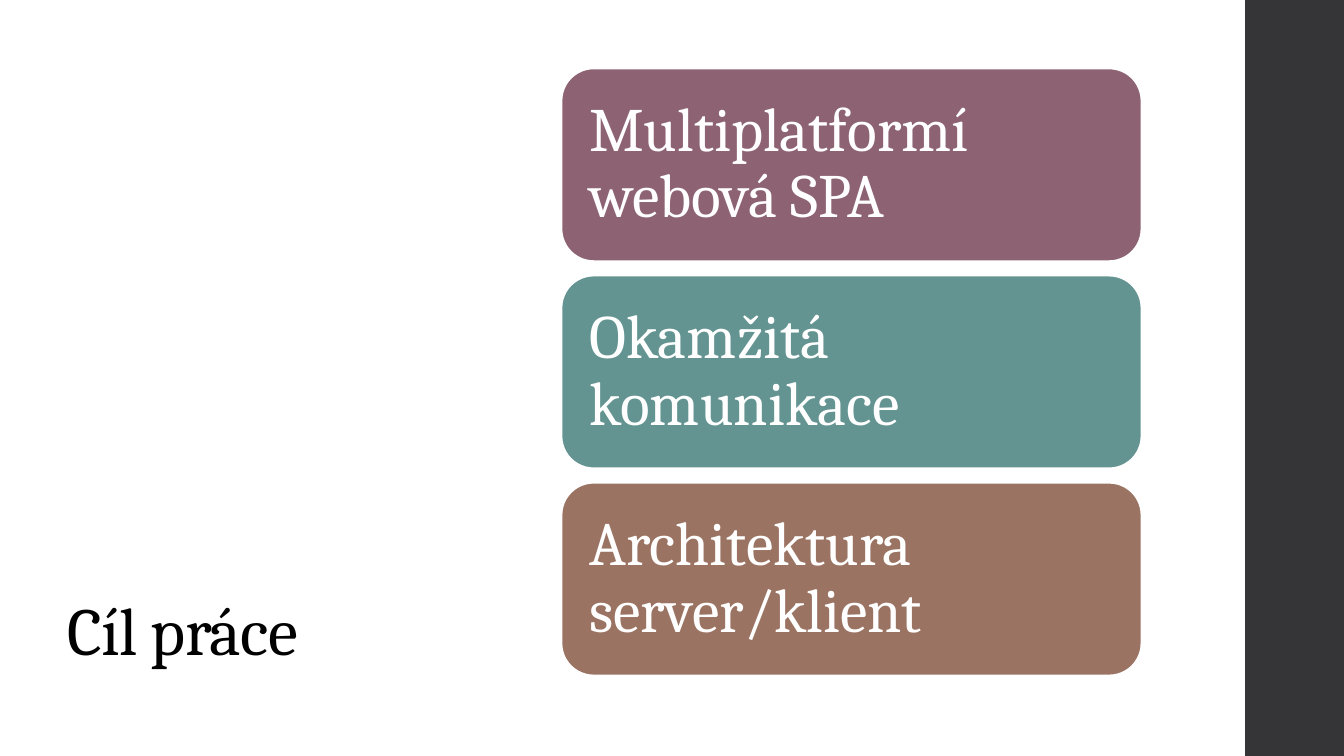
from pptx import Presentation
from pptx.dml.color import RGBColor
from pptx.enum.shapes import MSO_SHAPE as Shape
from pptx.enum.text import MSO_ANCHOR as Anchor, PP_ALIGN as Align
from pptx.util import Inches, Pt

# Content
TITLE = "Cíl práce"
GOALS = [
    ("Multiplatformí webová SPA", RGBColor(0x8D, 0x63, 0x74)),
    ("Okamžitá komunikace", RGBColor(0x63, 0x94, 0x91)),
    ("Architektura server/klient", RGBColor(0x9B, 0x73, 0x62)),
]
FONT = "Cambria"
WHITE = RGBColor(0xFF, 0xFF, 0xFF)
BLACK = RGBColor(0, 0, 0)
DARK = RGBColor(0x35, 0x35, 0x37)

# Layout in inches
WIDE, HIGH = 13.33, 7.5
TOP, BODY = 0.68, 6.02
CARD_X, CARD_W, CARD_H = 5.57, 5.75, 1.91
STEP = (BODY - CARD_H) / (len(GOALS) - 1)

deck = Presentation()
deck.slide_width, deck.slide_height = Inches(WIDE), Inches(HIGH)
slide = deck.slides.add_slide(deck.slide_layouts[6])


def box(x, y, w, h):
    return [Inches(v) for v in (x, y, w, h)]


def add_block(kind, area, fill):
    block = slide.shapes.add_shape(kind, *area)
    block.shadow.inherit = False
    block.fill.solid()
    block.fill.fore_color.rgb = fill
    return block


def set_text(shape, text, size, color, anchor, inset):
    frame = shape.text_frame
    frame.text = text
    frame.word_wrap = True
    frame.vertical_anchor = anchor
    frame.margin_left = frame.margin_right = Inches(inset[0])
    frame.margin_top = frame.margin_bottom = Inches(inset[1])
    para = frame.paragraphs[0]
    para.alignment = Align.LEFT
    para.line_spacing = 0.9
    run = para.runs[0]
    run.font.name, run.font.size = FONT, Pt(size)
    run.font.color.rgb = color
    return run


# Side band
band = add_block(Shape.RECTANGLE, box(WIDE - 0.98, 0, 0.98, HIGH), DARK)
band.line.fill.background()

# Title
title = slide.shapes.add_textbox(*box(0.57, TOP, 4.8, BODY))
run = set_text(title, TITLE, 48, BLACK, Anchor.BOTTOM, (0.1, 0.05))
run.font._element.set("spc", "-50")

# Goal cards
for row, (goal, color) in enumerate(GOALS):
    area = box(CARD_X, TOP + row * STEP, CARD_W, CARD_H)
    card = add_block(Shape.ROUNDED_RECTANGLE, area, color)
    card.line.color.rgb = WHITE
    card.line.width = Pt(1.1)
    set_text(card, goal, 44, WHITE, Anchor.MIDDLE, (0.18, 0.18))

deck.save("out.pptx")
